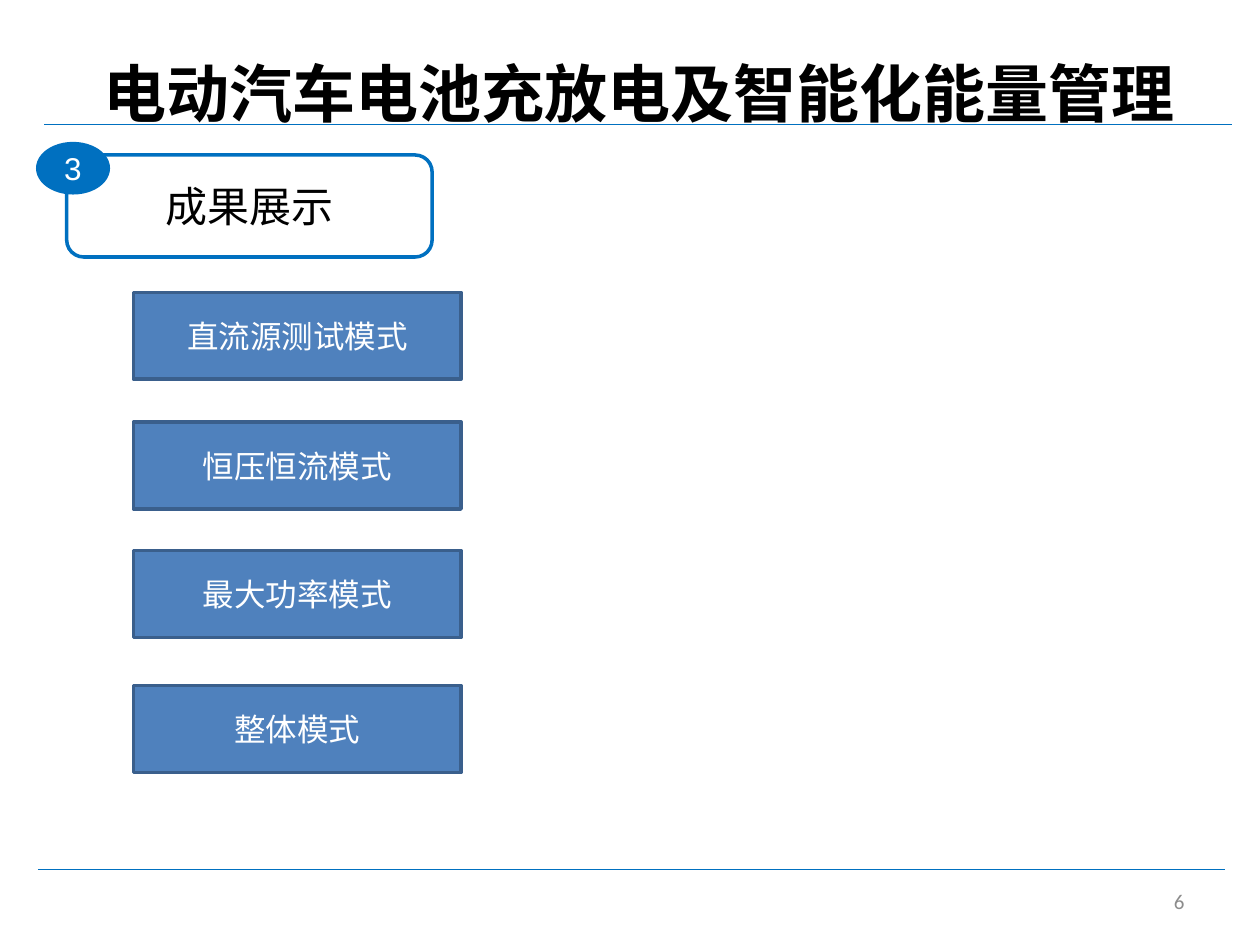
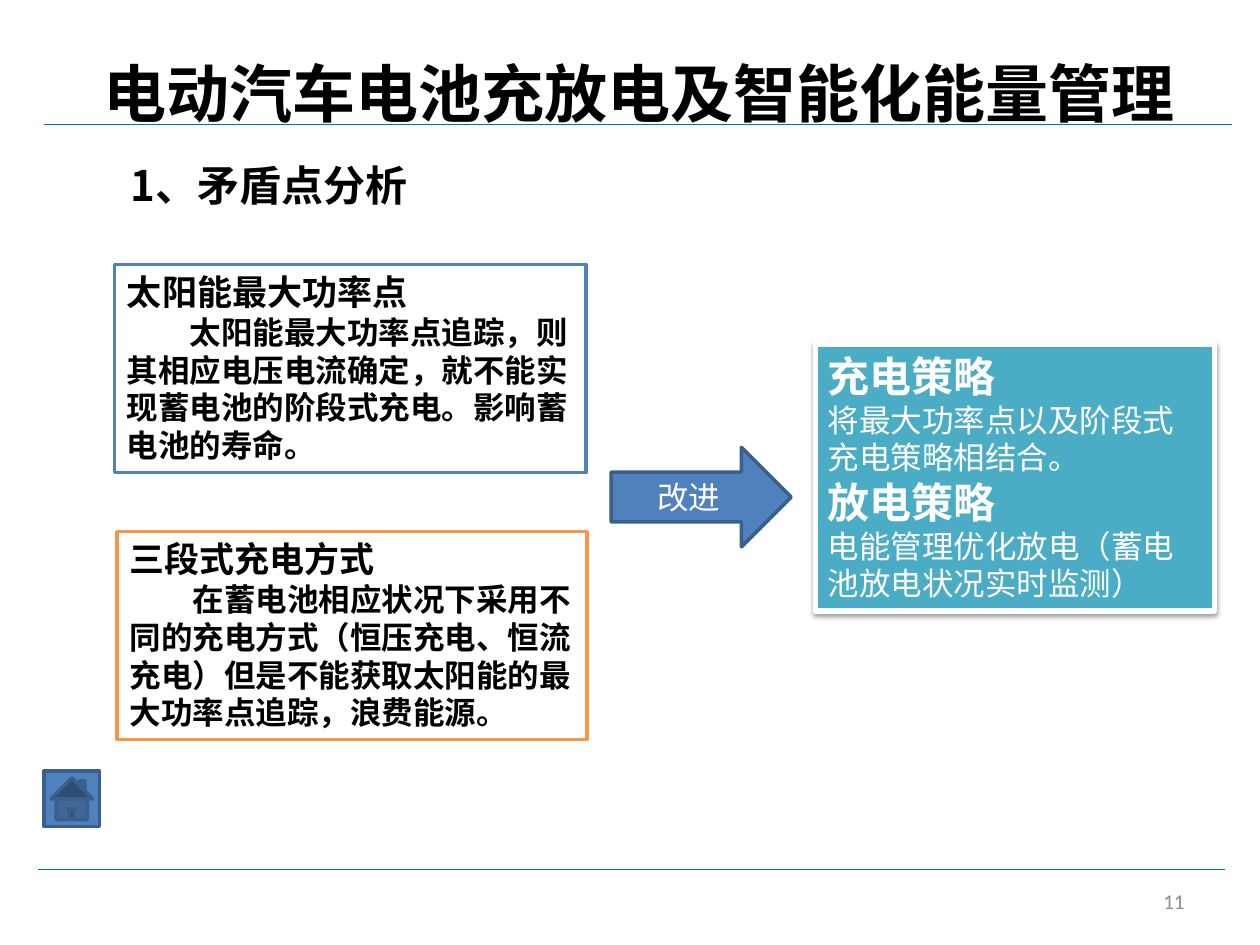
from typing import NamedTuple

from lxml import etree
from pptx import Presentation
from pptx.dml.color import RGBColor
from pptx.enum.shapes import MSO_CONNECTOR, MSO_SHAPE as Preset
from pptx.enum.text import MSO_ANCHOR as Anchor, MSO_AUTO_SIZE as AutoSize, PP_ALIGN as Align
from pptx.oxml.ns import qn
from pptx.util import Inches, Pt

COLORS = {
    "black": "000000", "white": "FFFFFF", "grey": "8C8C8C",
    "accent": "0070C0", "blue": "4F81BD", "navy": "3A5F8C",
    "orange": "F79646", "teal": "4BACC6",
}
BODY_FONT = "Calibri"
CJK_FONT = "Noto Sans CJK SC"
DECK_TITLE = "电动汽车电池充放电及智能化能量管理"


class Area(NamedTuple):
    left: float
    top: float
    width: float
    height: float


class Line(NamedTuple):
    """One paragraph and its format."""
    text: str
    size: int = 18
    bold: bool = False
    indent: float = 0


class Shadow(NamedTuple):
    alpha: int
    blur: float
    distance: float


class Argument(NamedTuple):
    """An outlined box with a heading and an indented explanation."""
    area: Area
    border: str
    heading: str
    body: str


RULE_SHADOW = Shadow(40, 4, 3)
BOX_SHADOW = Shadow(38, 3.1, 1.6)

# Rules above and below the content: left, right, height on the page
RULES = [(0.35, 9.78, 0.99), (0.3, 9.72, 6.9)]

MODES = [
    ("直流源测试模式", 2.32),
    ("恒压恒流模式", 3.35),
    ("最大功率模式", 4.37),
    ("整体模式", 5.44),
]

ARGUMENTS = [
    Argument(Area(0.91, 2.1, 3.74, 1.65), "blue", "太阳能最大功率点",
             "太阳能最大功率点追踪，则其相应电压电流确定，就不能实现蓄电池的阶段式充电。影响蓄电池的寿命。"),
    Argument(Area(0.93, 4.22, 3.73, 1.65), "orange", "三段式充电方式",
             "在蓄电池相应状况下采用不同的充电方式（恒压充电、恒流充电）但是不能获取太阳能的最大功率点追踪，浪费能源。"),
]

STRATEGIES = [
    Line("充电策略", 24, True),
    Line("将最大功率点以及阶段式充电策略相结合。"),
    Line("放电策略", 24, True),
    Line("电能管理优化放电（蓄电池放电状况实时监测）"),
]


def rgb(color: str) -> RGBColor:
    return RGBColor.from_string(COLORS[color])


def write(shape, *lines: Line, font=BODY_FONT, color="black", align=Align.LEFT,
          anchor=Anchor.TOP, spacing=None, grow=False) -> None:
    """Fill a shape's text frame with formatted paragraphs."""
    frame = shape.text_frame
    frame.word_wrap = True
    frame.auto_size = AutoSize.SHAPE_TO_FIT_TEXT if grow else AutoSize.NONE
    frame.vertical_anchor = anchor
    for number, line in enumerate(lines):
        paragraph = frame.add_paragraph() if number else frame.paragraphs[0]
        paragraph.alignment = align
        if spacing:
            paragraph.line_spacing = spacing
        if line.indent:
            paragraph._p.get_or_add_pPr().set("indent", str(Inches(line.indent)))
        run = paragraph.add_run()
        run.text = line.text
        run.font.name = font
        run.font.size = Pt(line.size)
        run.font.bold = line.bold
        run.font.color.rgb = rgb(color)
        east_asian = etree.SubElement(run._r.get_or_add_rPr(), qn("a:ea"))
        east_asian.set("typeface", font)


def cast_shadow(shape, shadow: Shadow) -> None:
    """Give a shape or connector a soft shadow that falls straight down."""
    properties = shape.element.spPr
    effects = properties.find(qn("a:effectLst"))
    if effects is None:
        effects = etree.SubElement(properties, qn("a:effectLst"))
    outer = etree.SubElement(
        effects, qn("a:outerShdw"), blurRad=str(Pt(shadow.blur)),
        dist=str(Pt(shadow.distance)), dir="5400000", rotWithShape="0")
    tint = etree.SubElement(outer, qn("a:srgbClr"), val=COLORS["black"])
    etree.SubElement(tint, qn("a:alpha"), val=str(shadow.alpha * 1000))


def add_box(slide, preset: Preset, area: Area, fill="blue", border="navy", weight=2):
    box = slide.shapes.add_shape(preset, *map(Inches, area))
    box.shadow.inherit = False
    box.fill.solid()
    box.fill.fore_color.rgb = rgb(fill)
    box.line.color.rgb = rgb(border)
    box.line.width = Pt(weight)
    return box


def add_label(slide, area: Area, line: Line, **text_format) -> None:
    write(slide.shapes.add_textbox(*map(Inches, area)), line, **text_format)


def add_page(deck, number: int):
    """Add a slide with the shared title, rules and page number."""
    slide = deck.slides.add_slide(deck.slide_layouts[5])
    title = slide.shapes.title
    title.left, title.top, title.width, title.height = map(Inches, (0.58, 0.08, 8.98, 1.01))
    write(title, Line(DECK_TITLE, 36, True), font=CJK_FONT,
          align=Align.CENTER, spacing=1.5, grow=True)
    for left, right, y in RULES:
        rule = slide.shapes.add_connector(
            MSO_CONNECTOR.STRAIGHT, Inches(left), Inches(y), Inches(right), Inches(y))
        rule.line.color.rgb = rgb("accent")
        rule.line.width = Pt(0.75)
        cast_shadow(rule, RULE_SHADOW)
    add_label(slide, Area(7.17, 6.95, 2.33, 0.4), Line(str(number), 12),
              color="grey", align=Align.RIGHT, anchor=Anchor.MIDDLE)
    return slide


def build_results(deck) -> None:
    slide = add_page(deck, 6)
    centred = {"align": Align.CENTER, "anchor": Anchor.MIDDLE}

    # Section heading with its number badge
    section = add_box(slide, Preset.ROUNDED_RECTANGLE, Area(0.53, 1.23, 2.9, 0.81),
                      "white", "accent")
    write(section, Line("成果展示", 24), font=CJK_FONT, **centred)
    badge = add_box(slide, Preset.OVAL, Area(0.3, 1.14, 0.56, 0.39), "accent", "accent")
    write(badge, Line("3"), font="Arial", color="white", **centred)

    # Operating modes
    for name, top in MODES:
        mode = add_box(slide, Preset.RECTANGLE, Area(1.06, top, 2.6, 0.69))
        write(mode, Line(name), color="white", **centred)


def build_analysis(deck) -> None:
    slide = add_page(deck, 11)
    add_label(slide, Area(0.94, 1.22, 2.88, 0.5), Line("1、矛盾点分析", 24, True),
              font="Noto Sans CJK JP", grow=True)

    # Conflicting goals
    for argument in ARGUMENTS:
        goal = add_box(slide, Preset.RECTANGLE, argument.area, "white", argument.border)
        write(goal, Line(argument.heading, 20, True),
              Line(argument.body, bold=True, indent=0.5), grow=True)

    # Improvement and the resulting strategies
    improvement = add_box(slide, Preset.RIGHT_ARROW, Area(4.85, 3.55, 1.43, 0.79))
    write(improvement, Line("改进"), color="white", align=Align.CENTER, anchor=Anchor.MIDDLE)
    strategy = add_box(slide, Preset.RECTANGLE, Area(6.47, 2.73, 3.17, 2.12),
                       "teal", "white", 3)
    cast_shadow(strategy, BOX_SHADOW)
    write(strategy, *STRATEGIES, color="white", grow=True)

    # Home button
    add_box(slide, Preset.ACTION_BUTTON_HOME, Area(0.35, 6.12, 0.44, 0.44))


def main() -> None:
    deck = Presentation()
    deck.slide_width, deck.slide_height = Inches(10), Inches(7.5)
    build_results(deck)
    build_analysis(deck)
    deck.save("out.pptx")


if __name__ == "__main__":
    main()
